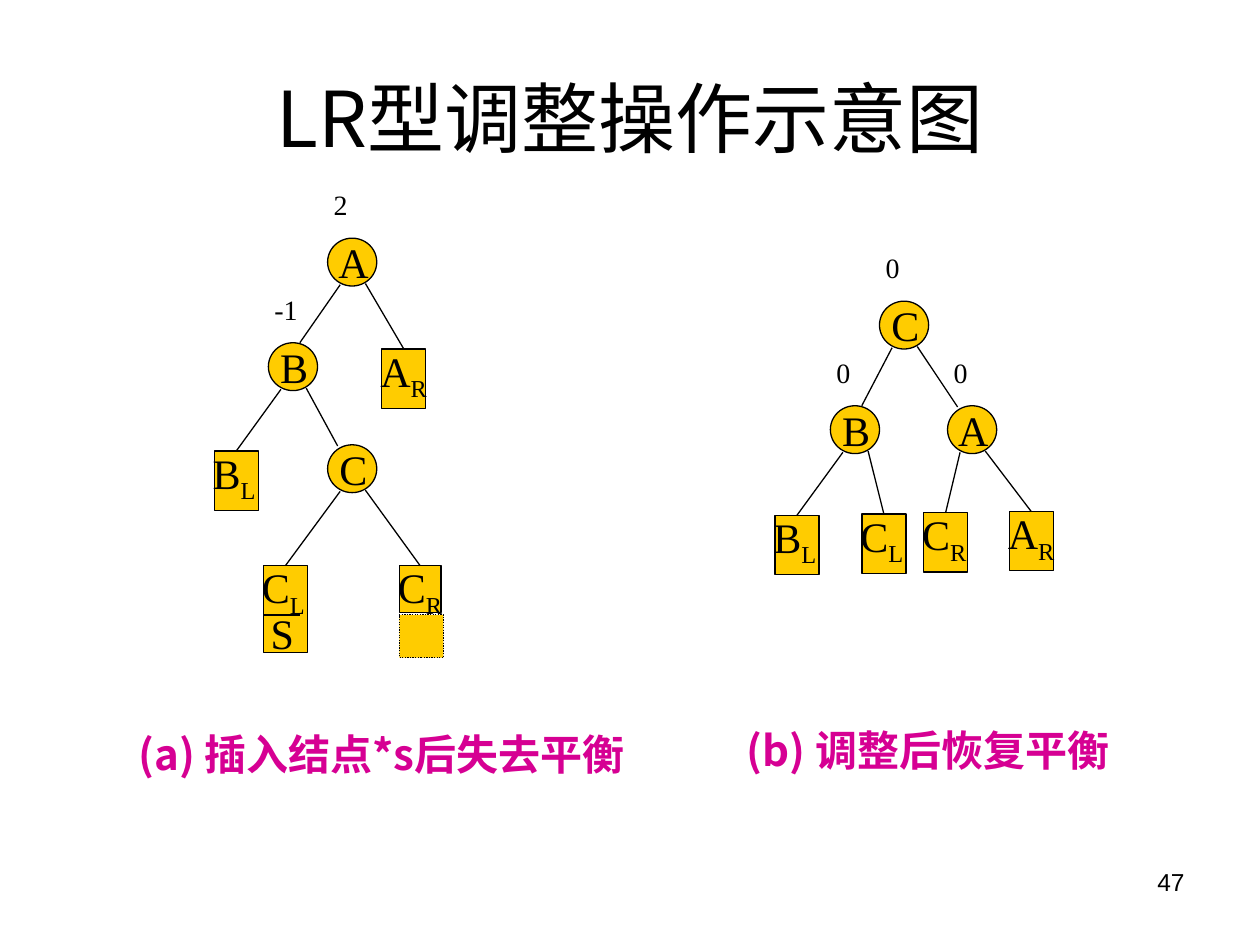
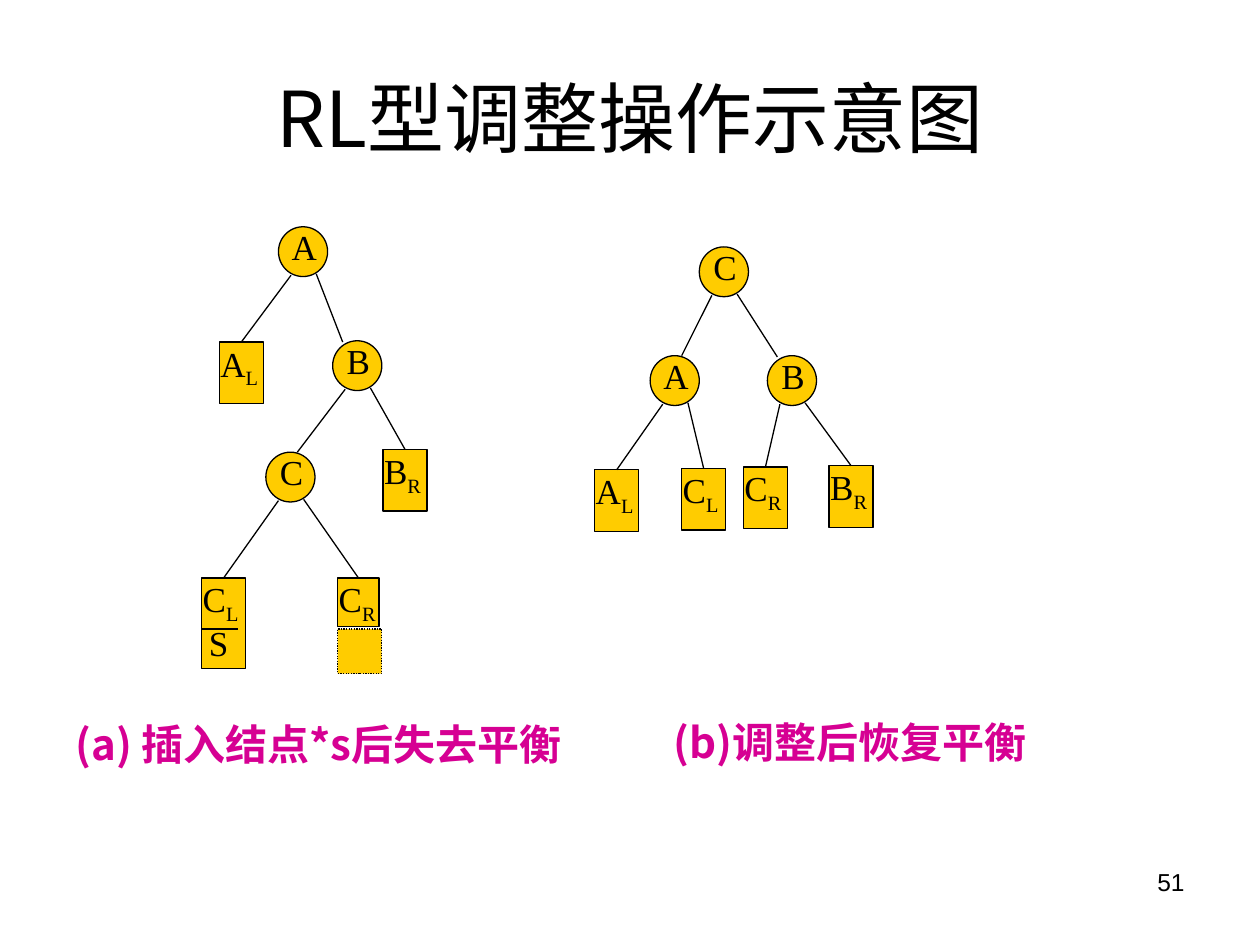
"""Build two slides that show the LR and RL rotations of a balanced binary tree."""
from dataclasses import dataclass
from lxml.etree import SubElement
from pptx import Presentation
from pptx.dml.color import RGBColor as RGB
from pptx.enum.dml import MSO_LINE
from pptx.enum.shapes import MSO_CONNECTOR as CONN, MSO_SHAPE as SHAPE
from pptx.enum.text import MSO_ANCHOR as ANCHOR, PP_ALIGN as ALIGN
from pptx.oxml.ns import qn
from pptx.util import Inches, Pt


@dataclass(frozen=True)
class Theme:
    ink: str = "000000"
    node: str = "FFCC00"
    caption: str = "D60093"
    title_font: str = "Noto Sans CJK JP"
    caption_font: str = "Noto Sans CJK SC"
    node_font: str = "Times New Roman"
    number_font: str = "Arial"
    title_size: int = 44
    caption_size: int = 24
    balance_size: int = 16
    number_size: int = 14
    line: float = 0.75


@dataclass(frozen=True)
class Node:
    label: str
    dx: float
    dy: float
    kids: tuple = ()
    balance: str = ""
    kind: str = "box"


T = Theme()
SLIDE_W, SLIDE_H = 10, 7.5
TITLE_BOX = (0.5, 0.3, 9, 1.25)
NUMBER_BOX = (7.17, 6.83, 2.33, 0.52)
SIZES = dict(circle=(0.39, 0.38), box=(0.35, 0.47), stack=(0.35, 0.69),
             half=(0.33, 0.37), dotted=(0.35, 0.34))
DIVIDER = 0.39
EDGE_STARTS = ((0.1, 0.37), (0.3, 0.36))
EDGE_ENDS = ((0.25, 0), (0.08, 0.01))


def circle(label, dx, dy, left, right, balance=""):
    return Node(label, dx, dy, (left, right), balance, "circle")


def grown(dx, dy):
    """Return the subtree C, where the new node S hangs under CL."""
    return circle("C", dx, dy, Node("CL", -0.51, 0.96, kind="stack"),
                  Node("CR", 0.57, 0.96, kind="half"))


def balanced(x, y, left, right, outer_left, outer_right, balance=""):
    """Return the tree after rotation, with C as its root."""
    return circle("C", x, y,
                  circle(left, -0.39, 0.83, Node(outer_left, -0.44, 0.87),
                         Node("CL", 0.25, 0.86), balance),
                  circle(right, 0.54, 0.83, Node("CR", -0.19, 0.85),
                         Node(outer_right, 0.49, 0.84), balance), balance)


SLIDES = [
    dict(title="LR型调整操作示意图", number="47", label_size=24, stretch=1, nudge=(-0.11, -0.08),
         trees=[circle("A", 2.6, 1.89,
                       circle("B", -0.47, 0.83, Node("BL", -0.43, 0.86), grown(0.47, 0.81), "-1"),
                       Node("AR", 0.43, 0.88), "2"),
                balanced(6.98, 2.39, "B", "A", "BL", "AR", "0")],
         captions=[("(a) 插入结点*s后失去平衡", 1, 5.73), ("(b) 调整后恢复平衡", 5.83, 5.7)]),
    dict(title="RL型调整操作示意图", number="51", label_size=20, stretch=1.04, nudge=(-0.09, -0.05),
         trees=[circle("A", 2.21, 1.8, Node("AL", -0.47, 0.88),
                       circle("B", 0.43, 0.87, grown(-0.53, 0.85), Node("BR", 0.4, 0.83))),
                balanced(5.55, 1.96, "A", "B", "AL", "BR")],
         captions=[("(a) 插入结点*s后失去平衡", 0.5, 5.65), ("(b)调整后恢复平衡", 5.25, 5.64)]),
]


def add_text(slide, box, text, font, size, color=T.ink, bold=False,
             align=ALIGN.LEFT, anchor=ANCHOR.TOP, tight=False, sub=""):
    tf = slide.shapes.add_textbox(*map(Inches, box)).text_frame
    tf.word_wrap, tf.vertical_anchor = True, anchor
    if tight:
        tf.margin_left = tf.margin_right = tf.margin_top = tf.margin_bottom = 0
    p = tf.paragraphs[0]
    p.alignment = align
    for part in filter(None, (text, sub)):
        r = p.add_run()
        r.text = part
        r.font.name, r.font.size, r.font.bold = font, Pt(size), bold
        r.font.color.rgb = RGB.from_string(color)
        SubElement(r._r.get_or_add_rPr(), qn("a:ea")).set("typeface", font)
    if sub:
        r._r.get_or_add_rPr().set("baseline", "-25000")


def add_node(slide, kind, x, y, stretch):
    w, h = SIZES[kind]
    preset = SHAPE.OVAL if kind == "circle" else SHAPE.RECTANGLE
    sp = slide.shapes.add_shape(preset, *map(Inches, (x, y, w, h * stretch)))
    sp.shadow.inherit = False
    sp.fill.solid()
    sp.fill.fore_color.rgb = RGB.from_string(T.node)
    sp.line.color.rgb = RGB.from_string(T.ink)
    sp.line.width = Pt(T.line)
    if kind == "dotted":
        sp.line.dash_style = MSO_LINE.ROUND_DOT
    return sp


def add_edge(slide, *ends):
    c = slide.shapes.add_connector(CONN.STRAIGHT, *map(Inches, ends))
    c.line.color.rgb = RGB.from_string(T.ink)
    c.line.width = Pt(T.line)
    SubElement(c._element.spPr, qn("a:effectLst"))
    return c


def add_label(slide, node, x, y, d):
    if node.kind == "circle":
        add_text(slide, (x + 0.04, y - 0.01, 0.33, 0.45), node.label, T.node_font,
                 d["label_size"], align=ALIGN.CENTER, tight=True)
    else:
        dx, dy = d["nudge"]
        letter, side = node.label
        add_text(slide, (x + dx, y + dy, 0.94, 0.64), letter, T.node_font,
                 d["label_size"], sub=side)
    if node.balance:
        add_text(slide, (x - 0.05, y - 0.45, 0.7, 0.64), node.balance,
                 T.node_font, T.balance_size)


def add_tree(slide, node, x, y, d):
    """Draw a node and everything below it, and return the node's shape."""
    k = d["stretch"]
    sp = add_node(slide, node.kind, x, y, k)
    cut = y + DIVIDER * k
    if node.kind == "stack":
        add_edge(slide, x, cut, x + 0.29, cut)
        add_text(slide, (x - 0.04, cut - 0.11, 0.7, 0.64), "S", T.node_font, d["label_size"])
    elif node.kind == "half":
        add_node(slide, "dotted", x, cut, k)
    for kid, start, end in zip(node.kids, EDGE_STARTS, EDGE_ENDS):
        kx, ky = x + kid.dx, y + kid.dy * k
        kid_sp = add_tree(slide, kid, kx, ky, d)
        c = add_edge(slide, x + start[0], y + start[1] * k, kx + end[0], ky + end[1])
        if kid.kind != "circle":
            c.end_connect(kid_sp, 0)
    add_label(slide, node, x, y, d)
    return sp


def main():
    prs = Presentation()
    prs.slide_width, prs.slide_height = Inches(SLIDE_W), Inches(SLIDE_H)
    for d in SLIDES:
        slide = prs.slides.add_slide(prs.slide_layouts[6])
        add_text(slide, NUMBER_BOX, d["number"], T.number_font, T.number_size, align=ALIGN.RIGHT)
        add_text(slide, TITLE_BOX, d["title"], T.title_font, T.title_size,
                 align=ALIGN.CENTER, anchor=ANCHOR.MIDDLE)
        for root in d["trees"]:
            add_tree(slide, root, root.dx, root.dy, d)
        for text, x, y in d["captions"]:
            add_text(slide, (x, y, 4.5, 0.5), text, T.caption_font, T.caption_size,
                     T.caption, True)
    prs.save("out.pptx")


if __name__ == "__main__":
    main()
